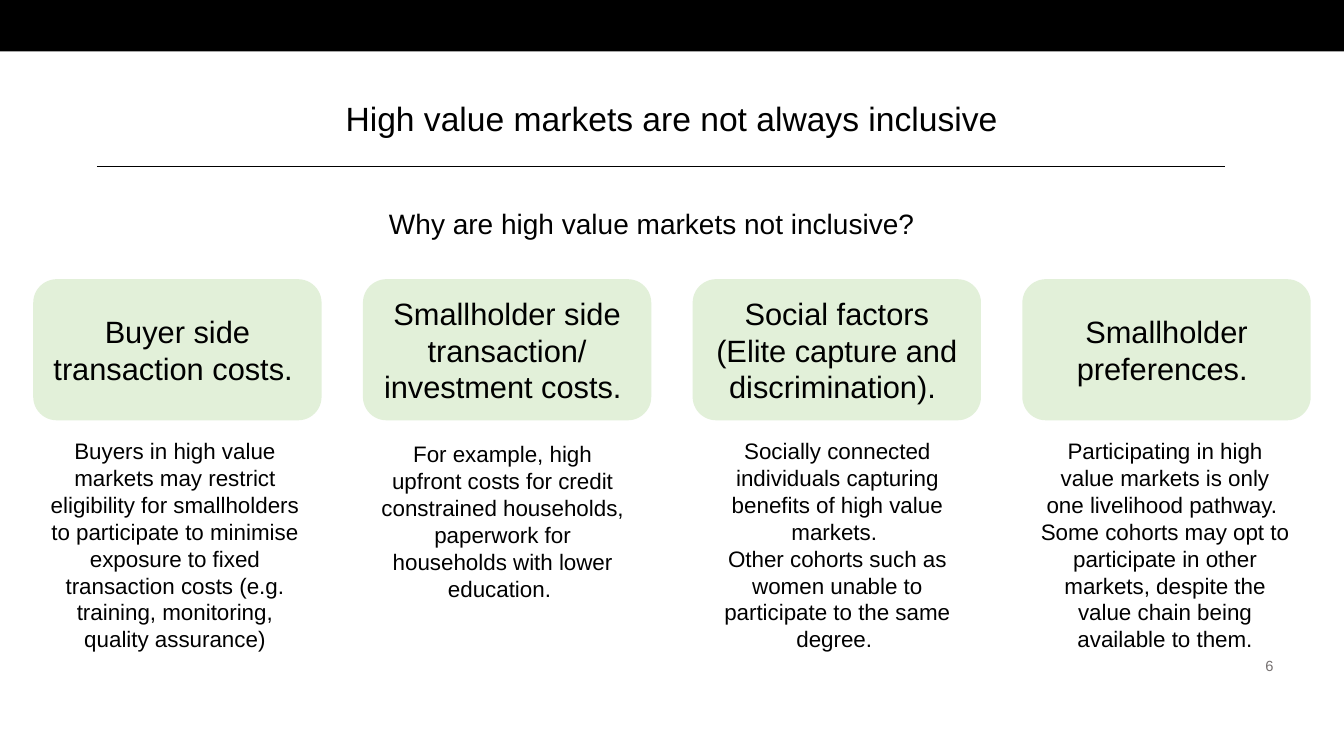
from dataclasses import dataclass

from lxml import etree
from pptx import Presentation
from pptx.dml.color import RGBColor
from pptx.enum.shapes import MSO_CONNECTOR, MSO_SHAPE
from pptx.enum.text import MSO_ANCHOR, MSO_AUTO_SIZE, PP_ALIGN
from pptx.oxml.ns import qn
from pptx.util import Emu, Pt

RECTANGLE, ROUNDED = MSO_SHAPE.RECTANGLE, MSO_SHAPE.ROUNDED_RECTANGLE
STRAIGHT = MSO_CONNECTOR.STRAIGHT
TOP, MIDDLE = MSO_ANCHOR.TOP, MSO_ANCHOR.MIDDLE
CENTER, RIGHT = PP_ALIGN.CENTER, PP_ALIGN.RIGHT
NO_AUTOFIT = MSO_AUTO_SIZE.NONE
TITLE_ONLY = 5
EMU_PER_PX = 9144  # 100 px to the inch


@dataclass(frozen=True)
class Theme:
    font: str = "Arial"
    ink: str = "000000"
    muted: str = "767171"
    card: str = "E2F0D9"
    title: float = 24
    question: float = 20
    heading: float = 22
    body: float = 16
    number: float = 10.5


def px(value):
    return Emu(value * EMU_PER_PX)


class SlideBuilder:
    def __init__(self, slide, theme):
        self.slide, self.theme = slide, theme

    def set_text(self, shape, paragraphs, size, color=None, align=CENTER, anchor=TOP):
        frame = shape.text_frame
        frame_format = {"word_wrap": True, "auto_size": NO_AUTOFIT,
                        "vertical_anchor": anchor}
        for name, value in frame_format.items():
            setattr(frame, name, value)
        frame.text = "\n".join(paragraphs)
        for paragraph in frame.paragraphs:
            paragraph.alignment = align
            font_format = {"name": self.theme.font, "size": Pt(size)}
            for name, value in font_format.items():
                setattr(paragraph.font, name, value)
            paragraph.font.color.rgb = RGBColor.from_string(color or self.theme.ink)

    def title(self, text, *box):
        title = self.slide.shapes.title
        for name, value in zip(("left", "top", "width", "height"), box):
            setattr(title, name, px(value))
        self.set_text(title, [text], self.theme.title)

    def text(self, paragraphs, size, *box, **style):
        label = self.slide.shapes.add_textbox(*map(px, box))
        self.set_text(label, paragraphs, size, **style)

    def panel(self, kind, color, *box):
        panel = self.slide.shapes.add_shape(kind, *map(px, box))
        panel.shadow.inherit = False
        panel.fill.solid()
        panel.fill.fore_color.rgb = RGBColor.from_string(color)
        panel.line.fill.background()
        return panel

    def card(self, heading, *box):
        card = self.panel(ROUNDED, self.theme.card, *box)
        self.set_text(card, [heading], self.theme.heading, anchor=MIDDLE)

    def rule(self, *ends):
        rule = self.slide.shapes.add_connector(STRAIGHT, *map(px, ends))
        rule.line.color.rgb = RGBColor.from_string(self.theme.ink)
        rule.line.width = Pt(0.5)
        etree.SubElement(rule._element.spPr, qn("a:effectLst"))


# Heading, explanation, and the explanation's left and top
REASONS = [
    ("Buyer side transaction costs. ",
     ["Buyers in high value markets may restrict eligibility for smallholders to "
      "participate to minimise exposure to fixed transaction costs (e.g. training, "
      "monitoring, quality assurance)"], 40, 429),
    ("Smallholder side transaction/ investment costs. ",
     ["For example, high upfront costs for credit constrained households, "
      "paperwork for households with lower education. "], 365, 432),
    ("Social factors (Elite capture and discrimination). ",
     ["Socially connected individuals capturing benefits of high value markets. ",
      "Other cohorts such as women unable to participate to the same degree. "],
     697, 429),
    ("Smallholder preferences. ",
     ["Participating in high value markets is only one livelihood pathway. ",
      "Some cohorts may opt to participate in other markets, despite the value "
      "chain being available to them."], 1022, 429),
]
CARD_LEFT, CARD_STEP = 33, 327


def main():
    presentation = Presentation()
    presentation.slide_width, presentation.slide_height = px(1333), px(750)
    theme = Theme()
    layout = presentation.slide_layouts[TITLE_ONLY]
    builder = SlideBuilder(presentation.slides.add_slide(layout), theme)

    # Header band, title and question
    builder.panel(RECTANGLE, theme.ink, 0, 0, 1333, 51)
    builder.title("High value markets are not always inclusive", 284, 92, 764, 50)
    builder.rule(96, 165, 1215, 165)
    builder.text(["Why are high value markets not inclusive?"], theme.question,
                 120, 200, 1053, 77)

    # Four reasons: card above, explanation below
    for column, (heading, explanation, left, top) in enumerate(REASONS):
        builder.card(heading, CARD_LEFT + column * CARD_STEP, 277, 286, 140)
        builder.text(explanation, theme.body, left, top, 267, 226)

    # Slide number
    builder.text(["6"], theme.number, 1109, 647, 164, 27,
                 color=theme.muted, align=RIGHT, anchor=MIDDLE)

    presentation.save("out.pptx")


if __name__ == "__main__":
    main()
